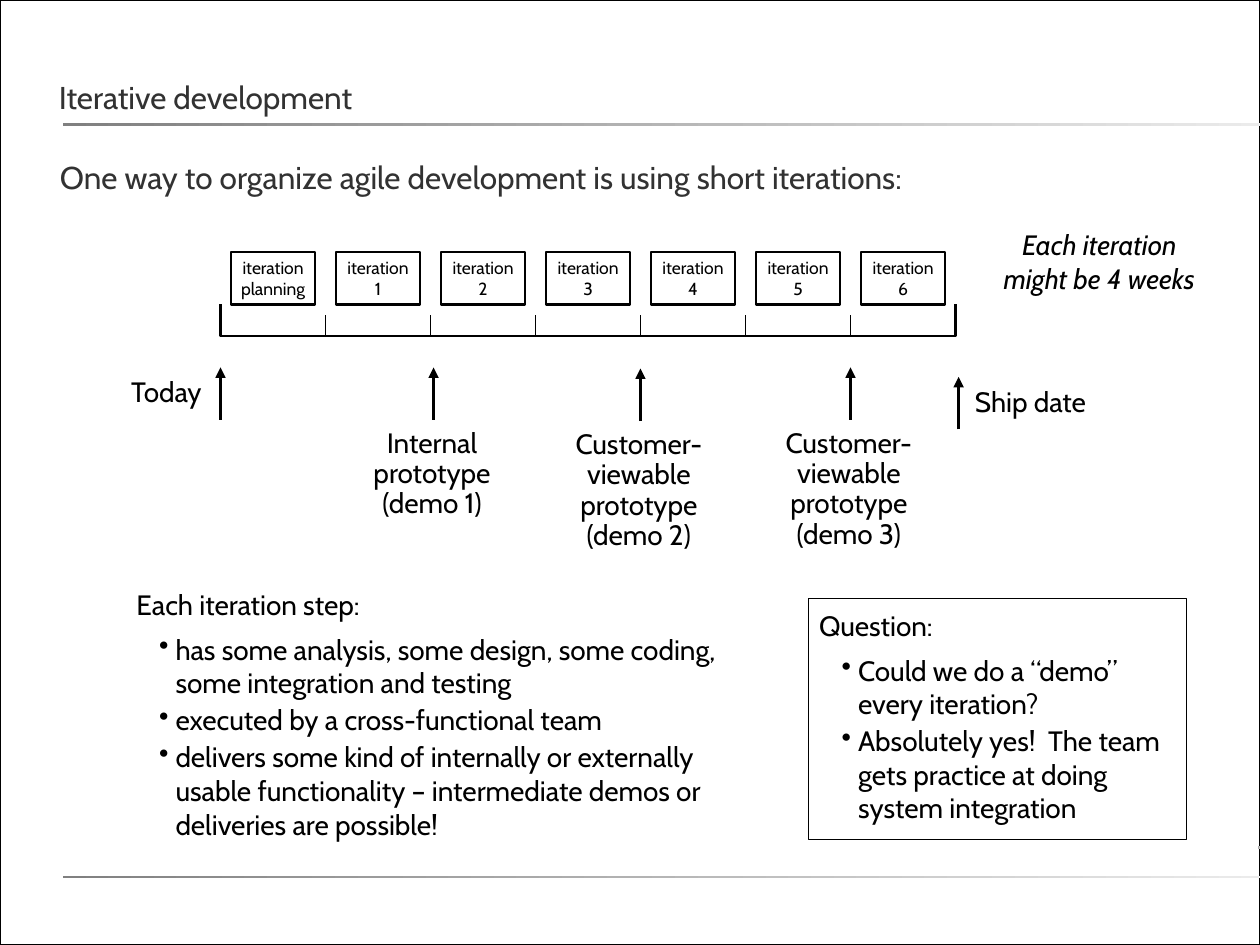
"""Build the slide on iterative development with its timeline of iterations."""
from lxml.etree import SubElement
from pptx import Presentation
from pptx.dml.color import RGBColor
from pptx.enum.shapes import MSO_CONNECTOR as Connector, MSO_SHAPE as Shape
from pptx.enum.text import MSO_ANCHOR as Anchor, PP_ALIGN as Align
from pptx.oxml.ns import qn
from pptx.util import Inches, Pt

COLORS = {
    name: RGBColor.from_string(value)
    for name, value in {
        "paper": "FFFFFF", "ink": "000000", "heading": "323232",
        "rule_start": "808080", "rule_end": "EBEBEB", "tick_end": "D7D7D7",
    }.items()
}
FONT = "Cabin"
BODY = {"size": Pt(16)}
HEADING = {"size": Pt(18)}
CENTERED = {"alignment": Align.CENTER}
LABEL = {"alignment": Align.CENTER, "line_spacing": 0.9, "space_after": Pt(12)}
LEAD = {"space_after": Pt(6)}
ITEM = {"space_after": Pt(2), "level": 1}

presentation = Presentation()
presentation.slide_width, presentation.slide_height = Inches(10), Inches(7.5)
COLUMN = presentation.slide_width / 60
ROW = presentation.slide_height / 45
slide = presentation.slides.add_slide(presentation.slide_layouts[5])
slide.background.fill.solid()
slide.background.fill.fore_color.rgb = COLORS["paper"]


def grid(*values):
    """Turn alternating columns and rows into lengths."""
    return [round(value * (ROW if index % 2 else COLUMN)) for index, value in enumerate(values)]


def write(shape, lines, font, color="ink", wrap=True, anchor=Anchor.TOP):
    """Fill a shape with (text, paragraph format) lines."""
    frame = shape.text_frame
    frame.margin_left = frame.margin_right = frame.margin_top = frame.margin_bottom = 0
    frame.word_wrap, frame.vertical_anchor = wrap, anchor
    for index, (text, layout) in enumerate(lines):
        paragraph = frame.add_paragraph() if index else frame.paragraphs[0]
        for name, value in {"space_before": Pt(0), **layout}.items():
            setattr(paragraph, name, value)
        if layout is ITEM:
            properties = paragraph._p.get_or_add_pPr()
            properties.set("marL", str(Inches(0.31)))
            properties.set("indent", str(Inches(-0.13)))
            SubElement(properties, qn("a:buChar"), char="•")
        run = paragraph.add_run()
        run.text = text
        for name, value in {"name": FONT, **font}.items():
            setattr(run.font, name, value)
        run.font.color.rgb = COLORS[color]


# The page frame and the fading rules
frames = [((0, 0, 60, 45), 1), ((38.5, 28.5, 18, 11.5), 0.5)]
rules = [
    ((59.9, 40.3, 0.06, 0.12), "tick_end"),
    ((3, 5.88, 57.2, 0.12), "rule_end"),
    ((3, 41.7, 57.2, 0.12), "rule_end"),
]
for place, weight in frames:
    frame_shape = slide.shapes.add_shape(Shape.RECTANGLE, *grid(*place))
    frame_shape.shadow.inherit = False
    frame_shape.fill.background()
    frame_shape.line.color.rgb = COLORS["ink"]
    frame_shape.line.width = Pt(weight)
for place, end_color in rules:
    rule = slide.shapes.add_shape(Shape.RECTANGLE, *grid(*place))
    rule.shadow.inherit = False
    rule.line.fill.background()
    rule.fill.gradient()
    rule.fill.gradient_angle = 0
    for stop, color, position in zip(rule.fill.gradient_stops, ("rule_start", end_color), (0, 1)):
        stop.color.rgb = COLORS[color]
        stop.position = position

title = slide.shapes.title
title.left, title.top, title.width, title.height = grid(2.8, 0.5, 54.2, 5)
write(title, [("Iterative development", {"alignment": Align.LEFT, "line_spacing": Pt(26)})],
      HEADING, "heading", anchor=Anchor.BOTTOM)

# Timeline: one bracket over all iterations, then one per iteration
START, STEP, COUNT, BASE = 10.5, 5, 7, 16
brackets = [(START, STEP * COUNT, 14.5, 1.5)]
brackets += [(START + STEP * index, STEP, 15, 0.75) for index in range(COUNT)]
for left, width, top, weight in brackets:
    builder = slide.shapes.build_freeform(*grid(left, top))
    corners = [(left, BASE), (left + width, BASE), (left + width, top)]
    builder.add_line_segments([grid(*corner) for corner in corners], close=False)
    bracket = builder.convert_to_shape()
    bracket.shadow.inherit = False
    bracket.fill.background()
    bracket.line.color.rgb = COLORS["ink"]
    bracket.line.width = Pt(weight)

for index in range(COUNT):
    box = slide.shapes.add_shape(Shape.RECTANGLE, *grid(START + 0.5 + STEP * index, 12, 4, 2.5))
    box.shadow.inherit = False
    box.fill.background()
    box.line.color.rgb = COLORS["ink"]
    box.line.width = Pt(1.5)
    name = str(index) if index else "planning"
    write(box, [("iteration", CENTERED), (name, CENTERED)], {"size": Pt(10)},
          wrap=False, anchor=Anchor.MIDDLE)

for column, row in [(10.5, 17.5), (20.65, 17.5), (30.5, 17.55), (40.5, 17.5), (45.65, 17.95)]:
    arrow = slide.shapes.add_connector(Connector.STRAIGHT, *grid(column, row + 2.5, column, row))
    arrow.line.color.rgb = COLORS["ink"]
    arrow.line.width = Pt(1.5)
    SubElement(arrow.line._get_or_add_ln(), qn("a:tailEnd"), type="triangle")
    SubElement(arrow._element.spPr, qn("a:effectLst"))

texts = [
    ((4.5, 18, 6.85, 1.45), [("Today", LABEL)], BODY),
    ((45, 18.5, 8.15, 1.45), [("Ship date", LABEL)], BODY),
    ((17.15, 20.45, 6.85, 4.3), [("Internal prototype (demo 1)", LABEL)], BODY),
    ((27, 20.5, 6.85, 5.75), [("Customer-viewable prototype (demo 2)", LABEL)], BODY),
    ((37, 20.45, 6.85, 5.75), [("Customer-viewable prototype (demo 3)", LABEL)], BODY),
    ((46.8, 10.85, 11.1, 3.2), [("Each iteration", CENTERED), ("might be 4 weeks", CENTERED)],
     {**BODY, "italic": True}),
    ((6.5, 28, 29.5, 13.6), [
        ("Each iteration step:", LEAD),
        ("has some analysis, some design, some coding, some integration and testing", ITEM),
        ("executed by a cross-functional team", ITEM),
        ("delivers some kind of internally or externally usable functionality – "
         "intermediate demos or deliveries are possible!", ITEM),
    ], BODY),
    ((39, 29, 16.75, 11.9), [
        ("Question:", LEAD),
        ("Could we do a “demo” every iteration?", ITEM),
        ("Absolutely yes!  The team gets practice at doing system integration", ITEM),
    ], BODY),
]
for place, lines, font in texts:
    write(slide.shapes.add_textbox(*grid(*place)), lines, font)

intro = slide.shapes.add_textbox(*grid(2.85, 7.75, 55.3, 2))
write(intro, [("One way to organize agile development is using short iterations:",
               {"line_spacing": 0.9})], HEADING, "heading")

presentation.save("out.pptx")
